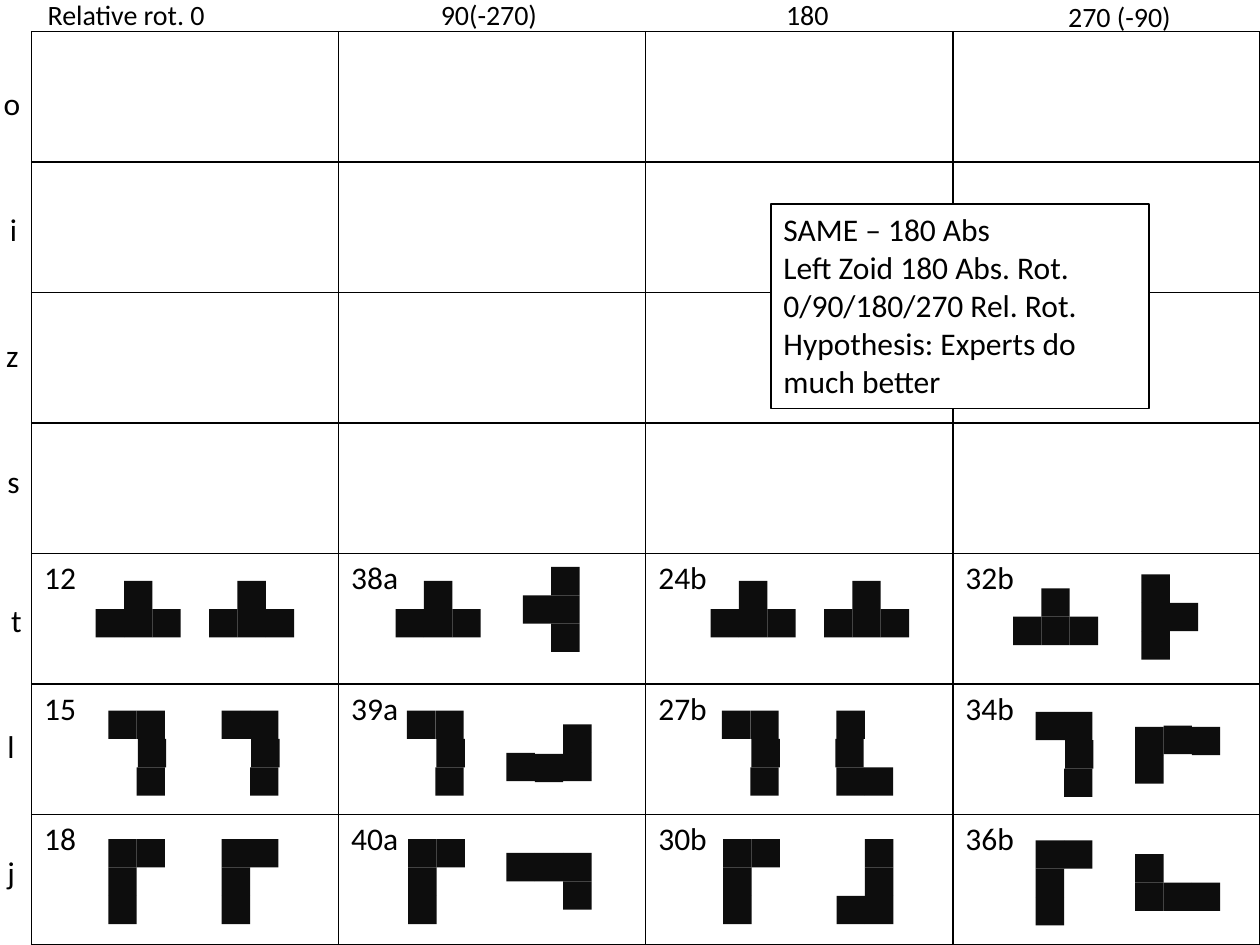
from dataclasses import dataclass

from lxml import etree
from pptx import Presentation
from pptx import util as u
from pptx.dml.color import RGBColor
from pptx.enum import shapes, text
from pptx.oxml import ns

PX = 4572  # 200 px to the inch
FONT = "Calibri"
BLACK, BLOCK_COLOUR, WHITE = "000000", "0D0D0D", "FFFFFF"
BLOCK = 45
ROWS, COLUMNS = 7, 4
TABLE_BOX = (50, 50, 1950, 1450)

# Block positions in block units; the middle block of "l" is slightly offset.
ZOIDS = {
    "t": [(1, 0), (0, 1), (1, 1), (2, 1)],
    "l": [(0, 0), (1, 0), (1.04, 1), (1, 2)],
    "j": [(0, 0), (1, 0), (0, 1), (0, 2)],
}


@dataclass(frozen=True)
class Label:
    words: str
    left: int
    top: int
    width: int
    height: int
    size: int


@dataclass(frozen=True)
class Trial:
    """A numbered table cell: a reference zoid and its turned partner."""
    number: str
    row: int
    column: int
    zoid: str
    reference: tuple[int, int]
    partner: tuple[int, int]
    turns: int  # clockwise quarter turns of the partner


LABELS = [
    Label("o", -14, 124, 68, 80, 18),
    Label("i", -4, 324, 52, 80, 18),
    Label("z", -10, 524, 60, 80, 18),
    Label("s", -8, 724, 60, 80, 18),
    Label("t", -2, 944, 58, 80, 18),
    Label("l", -8, 1144, 56, 80, 18),
    Label("j", -8, 1344, 52, 80, 18),
    Label("Relative rot. 0", 56, -14, 294, 74, 16),
    Label("90(-270)", 680, -14, 196, 74, 16),
    Label("180", 1228, -14, 108, 74, 16),
    Label("270 (-90)", 1676, -10, 206, 74, 16),
]

TRIALS = [
    Trial("12", 4, 0, "t", (152, 922), (332, 922), 0),
    Trial("38a", 4, 1, "t", (628, 922), (830, 900), 3),
    Trial("24b", 4, 2, "t", (1128, 922), (1308, 922), 0),
    Trial("32b", 4, 3, "t", (1608, 934), (1812, 912), 1),
    Trial("15", 5, 0, "l", (172, 1128), (352, 1128), 0),
    Trial("39a", 5, 1, "l", (646, 1128), (804, 1150), 1),
    Trial("27b", 5, 2, "l", (1146, 1128), (1326, 1128), 2),
    Trial("34b", 5, 3, "l", (1644, 1130), (1802, 1152), 3),
    Trial("18", 6, 0, "j", (172, 1332), (352, 1332), 0),
    Trial("40a", 6, 1, "j", (648, 1332), (804, 1354), 1),
    Trial("30b", 6, 2, "j", (1148, 1332), (1328, 1332), 2),
    Trial("36b", 6, 3, "j", (1644, 1334), (1802, 1356), 3),
]

NOTE = [
    "SAME – 180 Abs",
    "Left Zoid 180 Abs. Rot.",
    "0/90/180/270 Rel. Rot.",
    "Hypothesis: Experts do much better",
]


def emu(*lengths: float) -> list[int]:
    return [round(length * PX) for length in lengths]


def colour(value: str) -> RGBColor:
    return RGBColor.from_string(value)


def write(paragraph, words: str, size: int) -> None:
    paragraph.alignment = text.PP_ALIGN.LEFT
    run = paragraph.add_run()
    run.text = words
    run.font.name = FONT
    run.font.size = u.Pt(size)
    run.font.color.rgb = colour(BLACK)


def add_rectangle(owner, left: float, top: float, width: float, height: float, fill: str):
    shape = owner.add_shape(shapes.MSO_SHAPE.RECTANGLE, *emu(left, top, width, height))
    shape.shadow.inherit = False
    shape.fill.solid()
    shape.fill.fore_color.rgb = colour(fill)
    shape.line.fill.background()
    return shape


def add_borders(cell) -> None:
    properties = cell._tc.get_or_add_tcPr()
    for index, side in enumerate(("lnL", "lnR", "lnT", "lnB")):
        line = etree.Element(ns.qn(f"a:{side}"), w=str(u.Pt(1)))
        fill = etree.SubElement(line, ns.qn("a:solidFill"))
        etree.SubElement(fill, ns.qn("a:srgbClr"), val=BLACK)
        properties.insert(index, line)


def add_grid(slide) -> None:
    table = slide.shapes.add_table(ROWS, COLUMNS, *emu(*TABLE_BOX)).table
    table.first_row = table.horz_banding = False
    for column in table.columns:
        column.width = emu(TABLE_BOX[2] / COLUMNS)[0]
    for row in table.rows:
        row.height = emu(TABLE_BOX[3] / ROWS)[0]
    for cell in table.iter_cells():
        cell.fill.background()
        add_borders(cell)
    for trial in TRIALS:
        cell = table.cell(trial.row, trial.column)
        write(cell.text_frame.paragraphs[0], trial.number, 18)


def turned(blocks: list[tuple[float, float]], turns: int) -> list[tuple[float, float]]:
    """Turn clockwise by quarter turns and move back to the origin."""
    for _ in range(turns):
        blocks = [(-y, x) for x, y in blocks]
    left = min(x for x, _ in blocks)
    top = min(y for _, y in blocks)
    return [(x - left, y - top) for x, y in blocks]


def add_zoid(slide, zoid: str, corner: tuple[int, int], turns: int = 0) -> None:
    group = slide.shapes.add_group_shape()
    for x, y in turned(ZOIDS[zoid], turns):
        add_rectangle(group.shapes, corner[0] + x * BLOCK, corner[1] + y * BLOCK,
                      BLOCK, BLOCK, BLOCK_COLOUR)


def add_label(slide, label: Label) -> None:
    box = slide.shapes.add_textbox(*emu(label.left, label.top, label.width, label.height))
    frame = box.text_frame
    frame.word_wrap = False
    frame.auto_size = text.MSO_AUTO_SIZE.SHAPE_TO_FIT_TEXT
    write(frame.paragraphs[0], label.words, label.size)


def add_note(slide) -> None:
    shape = add_rectangle(slide.shapes, 1224, 324, 600, 324, WHITE)
    shape.line.color.rgb = colour(BLACK)
    shape.line.width = u.Pt(0.75)
    frame = shape.text_frame
    frame.word_wrap = True
    frame.auto_size = text.MSO_AUTO_SIZE.SHAPE_TO_FIT_TEXT
    frame.vertical_anchor = text.MSO_ANCHOR.TOP
    for index, words in enumerate(NOTE):
        paragraph = frame.add_paragraph() if index else frame.paragraphs[0]
        write(paragraph, words, 18)


def main() -> None:
    presentation = Presentation()
    presentation.slide_width, presentation.slide_height = emu(2000, 1500)
    slide = presentation.slides.add_slide(presentation.slide_layouts[6])
    add_grid(slide)
    for trial in TRIALS:
        add_zoid(slide, trial.zoid, trial.reference)
        add_zoid(slide, trial.zoid, trial.partner, trial.turns)
    for label in LABELS:
        add_label(slide, label)
    add_note(slide)
    presentation.save("out.pptx")


if __name__ == "__main__":
    main()
